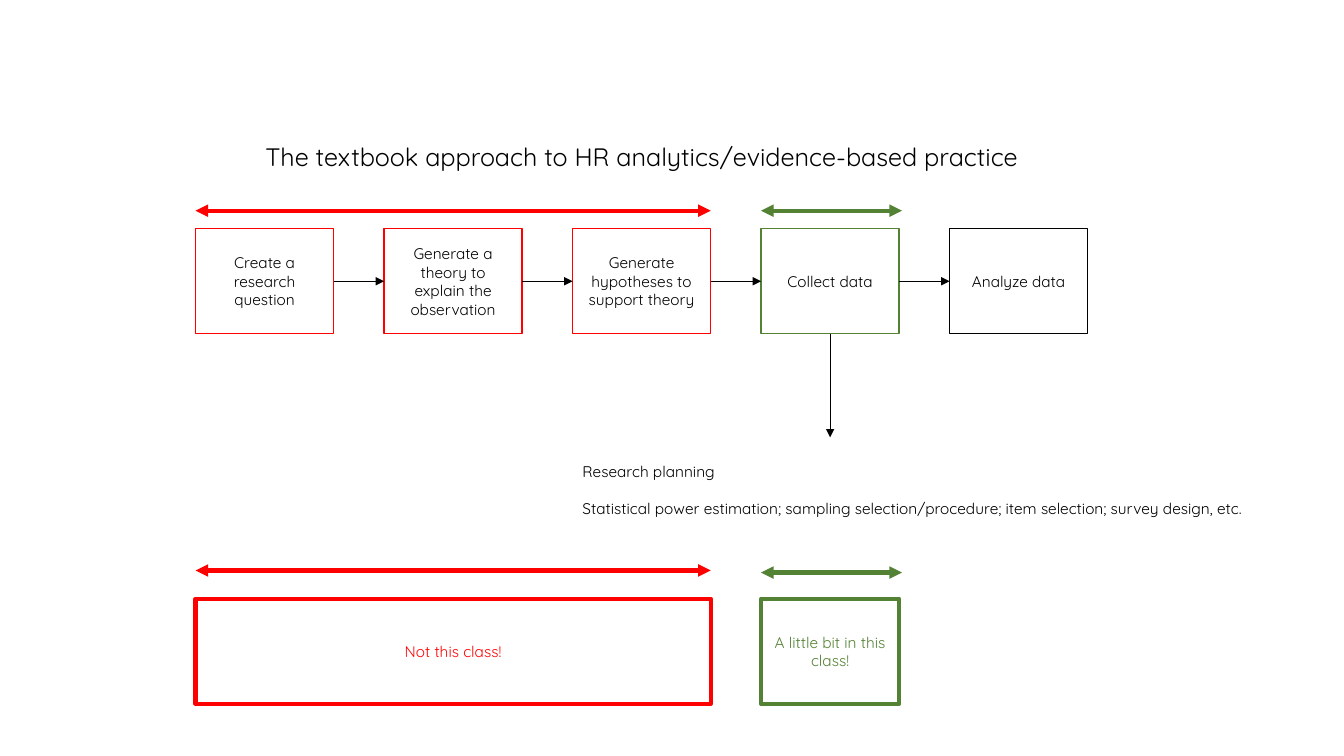
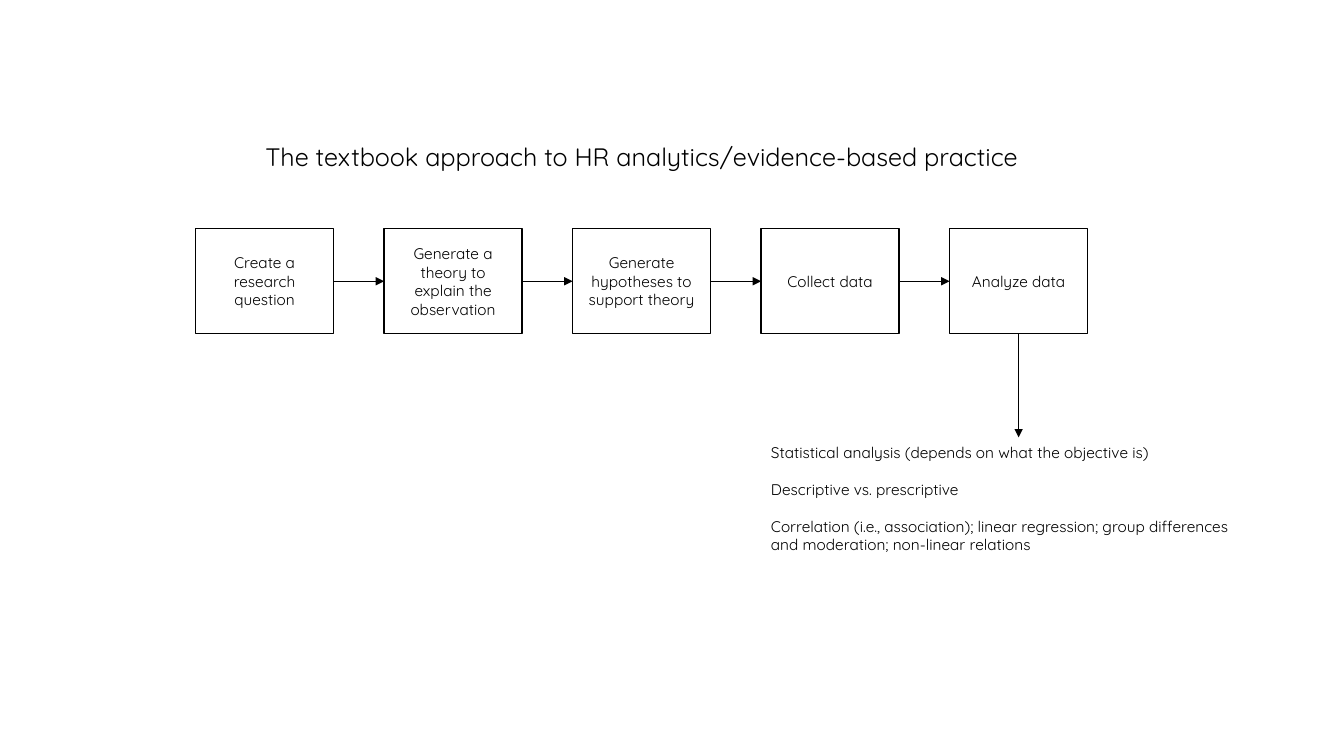
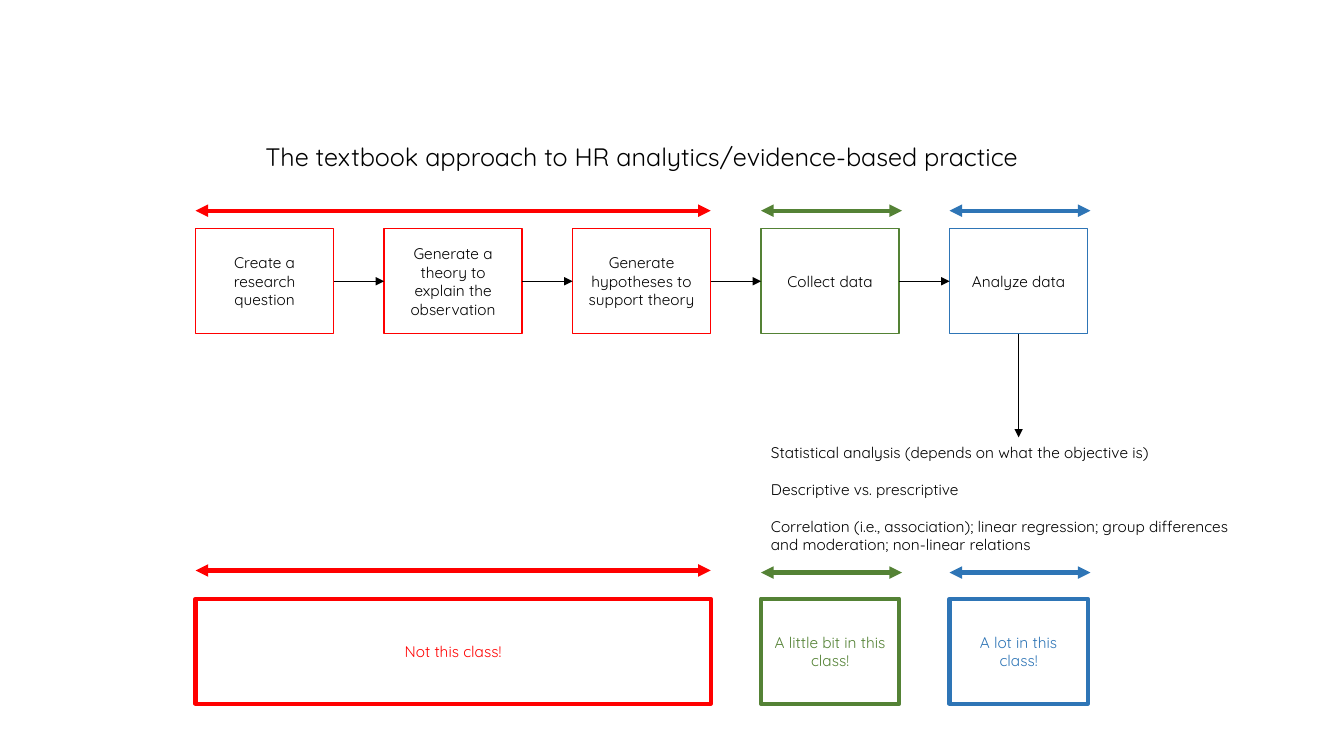
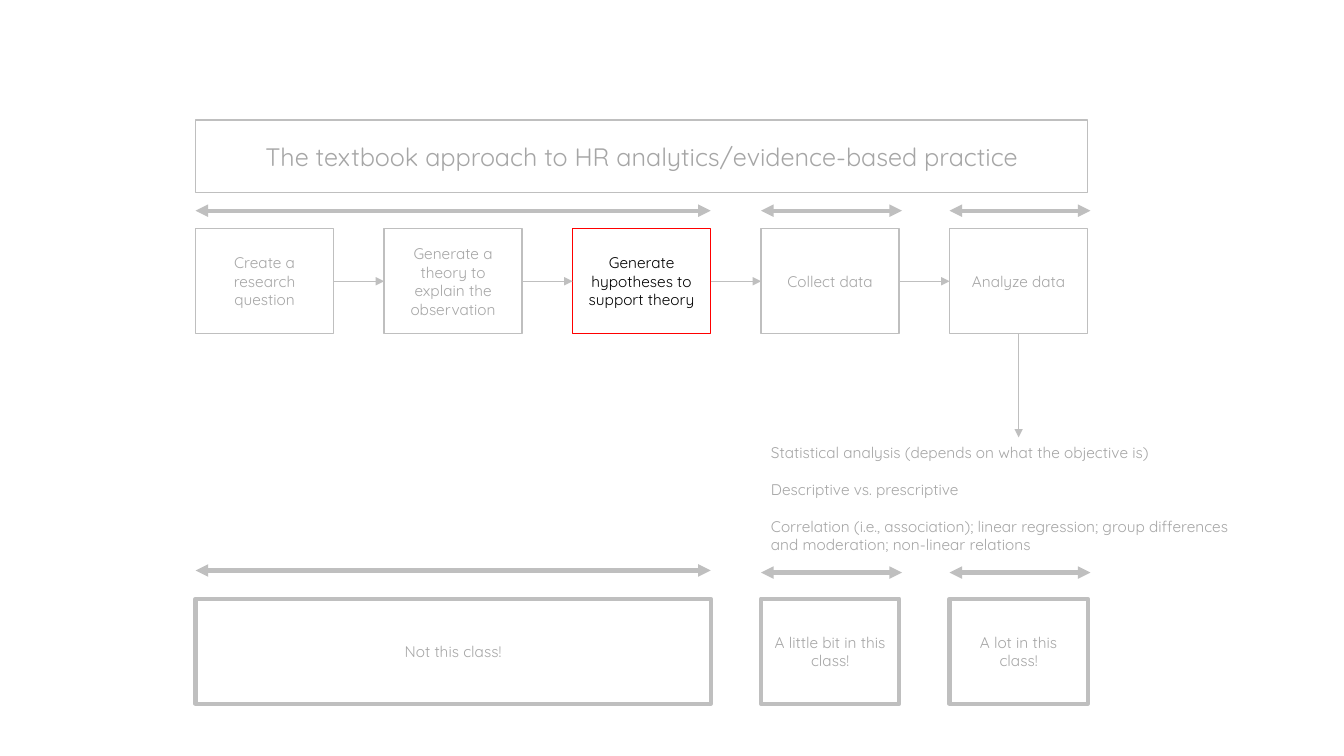
from lxml.etree import SubElement
from pptx import Presentation
from pptx.dml.color import RGBColor
from pptx.enum.shapes import MSO_CONNECTOR, MSO_SHAPE
from pptx.enum.text import MSO_ANCHOR, PP_ALIGN
from pptx.oxml.ns import qn
from pptx.util import Pt

# Content
TITLE = "The textbook approach to HR analytics/evidence-based practice"
STEPS = [
    "Create a research question",
    "Generate a theory to explain the observation",
    "Generate hypotheses to support theory",
    "Collect data",
    "Analyze data",
]
# Label, first step, last step, colour, overshoot of arrows, height of lower arrow
BANDS = [
    ("Not this class!", 0, 2, "red", 0, 407.5),
    ("A little bit in this class!", 3, 3, "green", 2, 409),
    ("A lot in this class!", 4, 4, "blue", 2, 409),
]
# Step explained, box (left, top, width, height), bottom inset, paragraphs
PLANNING = (3, (409, 312.5, 637, 75), 3.6, [
    "Research planning",
    "Statistical power estimation; sampling selection/procedure; "
    "item selection; survey design, etc.",
])
ANALYSIS = (4, (543.6, 298.8, 399.6, 127.4), 16.8, [
    "Statistical analysis (depends on what the objective is)",
    "Descriptive vs. prescriptive",
    "Correlation (i.e., association); linear regression; group differences\v"
    "and moderation; non-linear relations",
])
SLIDES = [
    {"bands": BANDS[:2], "detail": PLANNING},
    {"bands": [], "detail": ANALYSIS},
    {"bands": BANDS, "detail": ANALYSIS},
    {"bands": BANDS, "detail": ANALYSIS, "highlight": 2},
]

# Shared style
COLORS = {
    "black": "000000", "red": "FF0000", "green": "548235", "blue": "2E75B6",
    "faded line": "BFBFBF", "faded text": "A6A6A6",
}
FONT = "Quicksand"
BODY_SIZE, TITLE_SIZE = 11, 18
LINE_GAP = 13.2
LEFT, STEP_WIDTH, STEP_PITCH, BOX_HEIGHT = 139.7, 98.7, 134.64, 75
TITLE_TOP, TITLE_HEIGHT = 85.7, 51.8
UPPER_ARROW, STEP_TOP, DETAIL_ARROW_END, BAND_TOP = 150.5, 163.4, 312.5, 427.7


def color(name):
    return RGBColor.from_string(COLORS[name])


def step_left(index):
    return LEFT + index * STEP_PITCH


def write(shape, paragraphs, text_color, size=BODY_SIZE, align=PP_ALIGN.CENTER):
    frame = shape.text_frame
    frame.word_wrap = True
    frame.vertical_anchor = MSO_ANCHOR.MIDDLE
    for index, text in enumerate(paragraphs):
        paragraph = frame.add_paragraph() if index else frame.paragraphs[0]
        paragraph.text = text
        paragraph.alignment = align
        paragraph.space_before = Pt(LINE_GAP if index else 0)
        paragraph.font.name = FONT
        paragraph.font.size = Pt(size)
        paragraph.font.color.rgb = color(text_color)


def add_box(slide, box, text, line_color, text_color, weight=1, size=BODY_SIZE):
    shape = slide.shapes.add_shape(MSO_SHAPE.RECTANGLE, *map(Pt, box))
    shape.shadow.inherit = False
    shape.fill.background()
    shape.line.color.rgb = color(line_color)
    shape.line.width = Pt(weight)
    write(shape, [text], text_color, size)
    return shape


def add_text(slide, box, paragraphs, text_color, **style):
    shape = slide.shapes.add_textbox(*map(Pt, box))
    write(shape, paragraphs, text_color, **style)
    return shape


def add_arrow(slide, start, end, line_color, weight=0.5, ends=("tailEnd",)):
    arrow = slide.shapes.add_connector(
        MSO_CONNECTOR.STRAIGHT, *map(Pt, (*start, *end)))
    arrow.line.color.rgb = color(line_color)
    arrow.line.width = Pt(weight)
    properties = arrow.line._get_or_add_ln()
    for end_name in ends:
        SubElement(properties, qn(f"a:{end_name}"), type="triangle")
    SubElement(arrow._element.spPr, qn("a:effectLst"))
    return arrow


def add_steps(slide, bands, faded, highlight):
    step_colors = {step: band_color for _, first, last, band_color, *_ in bands
                   for step in range(first, last + 1)}
    boxes = []
    for index, text in enumerate(STEPS):
        line_color, text_color = step_colors.get(index, "black"), "black"
        if faded and index != highlight:
            line_color, text_color = "faded line", "faded text"
        box = (step_left(index), STEP_TOP, STEP_WIDTH, BOX_HEIGHT)
        boxes.append(add_box(slide, box, text, line_color, text_color))

    middle = STEP_TOP + BOX_HEIGHT / 2
    for index, (before, after) in enumerate(zip(boxes, boxes[1:])):
        arrow = add_arrow(slide, (step_left(index) + STEP_WIDTH, middle),
                          (step_left(index + 1), middle),
                          "faded line" if faded else "black")
        arrow.begin_connect(before, 3)
        arrow.end_connect(after, 1)
    return boxes


def add_band(slide, band, faded):
    label, first, last, band_color, overshoot, lower_arrow = band
    line_color = "faded line" if faded else band_color
    text_color = "faded text" if faded else band_color
    left = step_left(first)
    right = step_left(last) + STEP_WIDTH
    for height in (UPPER_ARROW, lower_arrow):
        add_arrow(slide, (left, height), (right + overshoot, height),
                  line_color, 3, ("headEnd", "tailEnd"))
    add_box(slide, (left, BAND_TOP, right - left, BOX_HEIGHT), label,
            line_color, text_color, weight=3)


def add_detail(slide, detail, boxes, line_color, text_color):
    step, box, bottom_inset, paragraphs = detail
    center = step_left(step) + STEP_WIDTH / 2
    arrow = add_arrow(slide, (center, STEP_TOP + BOX_HEIGHT),
                      (center, DETAIL_ARROW_END), line_color)
    arrow.begin_connect(boxes[step], 2)
    shape = add_text(slide, box, paragraphs, text_color, align=PP_ALIGN.LEFT)
    shape.text_frame.margin_bottom = Pt(bottom_inset)


def build_slide(presentation, bands, detail, highlight=None):
    slide = presentation.slides.add_slide(presentation.slide_layouts[6])
    faded = highlight is not None
    line_color = "faded line" if faded else "black"
    text_color = "faded text" if faded else "black"

    boxes = add_steps(slide, bands, faded, highlight)

    # Title, framed when faded
    title_width = step_left(len(STEPS) - 1) + STEP_WIDTH - LEFT
    title_box = (LEFT, TITLE_TOP, title_width, TITLE_HEIGHT)
    if faded:
        add_box(slide, title_box, TITLE, line_color, text_color, size=TITLE_SIZE)
    else:
        add_text(slide, title_box, [TITLE], text_color, size=TITLE_SIZE)

    for band in bands:
        add_band(slide, band, faded)
    add_detail(slide, detail, boxes, line_color, text_color)


def main():
    presentation = Presentation()
    presentation.slide_width, presentation.slide_height = Pt(960), Pt(540)
    for content in SLIDES:
        build_slide(presentation, **content)
    presentation.save("out.pptx")


if __name__ == "__main__":
    main()
